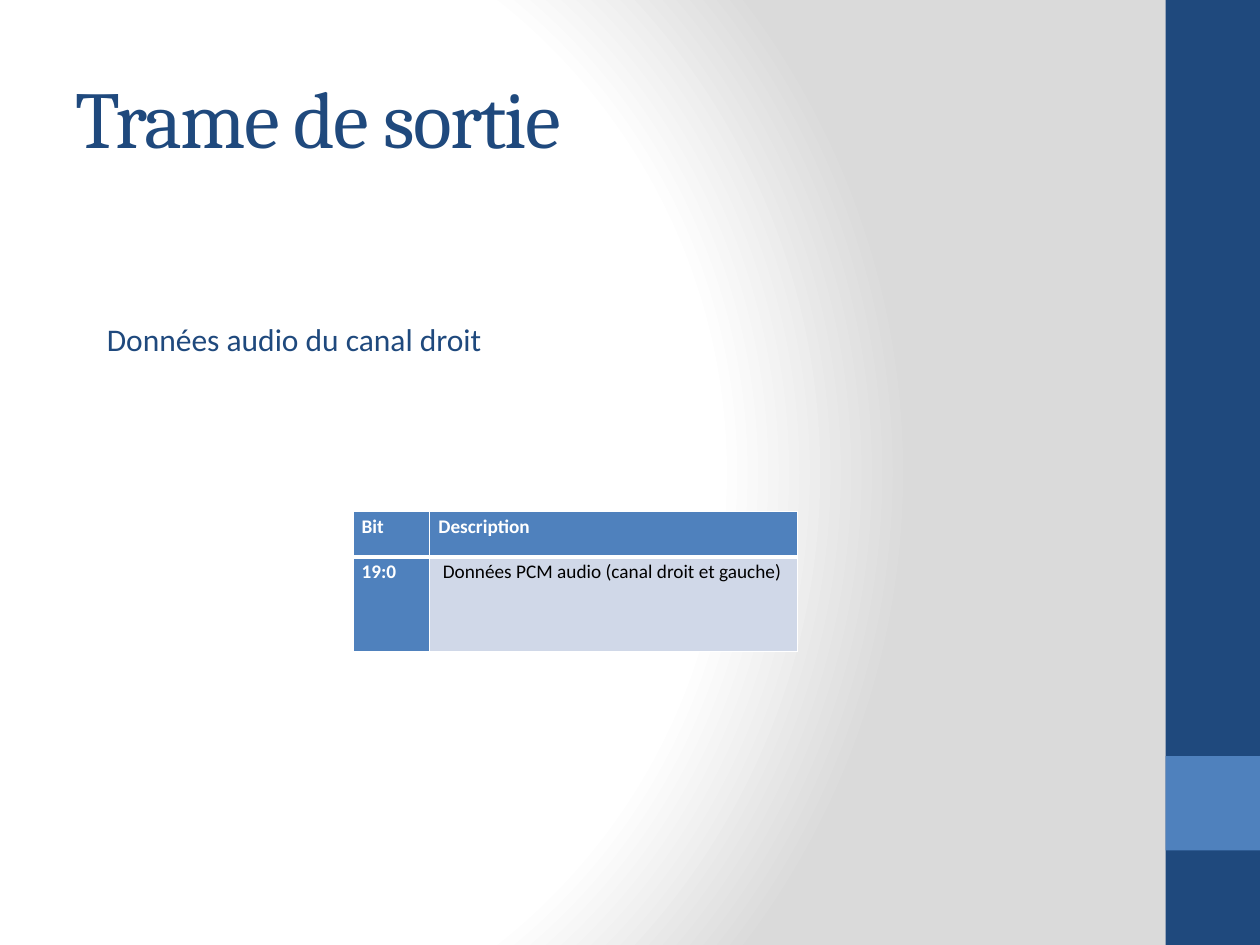
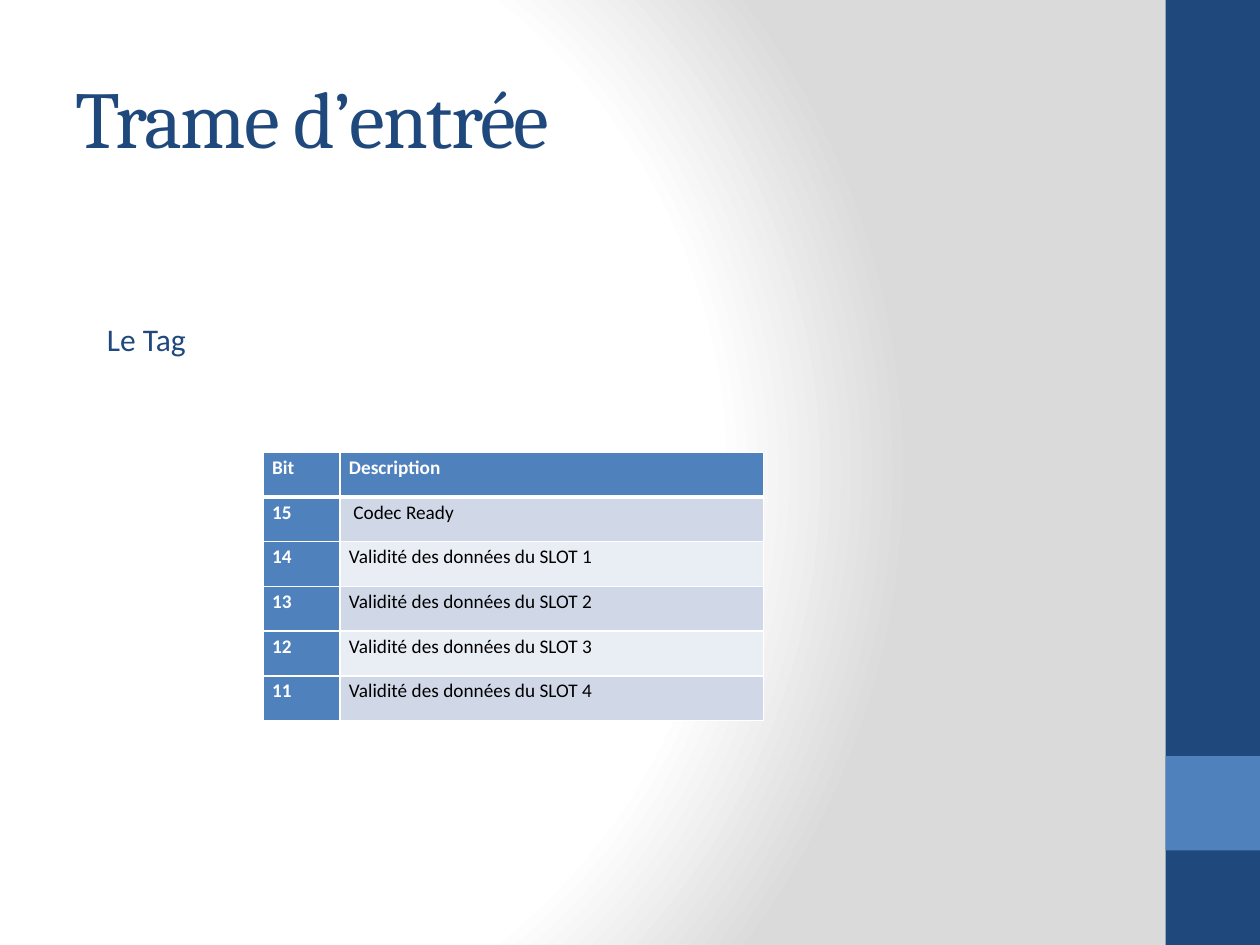
from lxml import etree
from pptx import Presentation
from pptx.dml.color import RGBColor
from pptx.enum import shapes, text
from pptx.oxml import parse_xml
from pptx.oxml.ns import nsdecls, qn
from pptx.util import Inches, Pt

COLORS = {
    "navy": "1F497D",
    "blue": "4F81BD",
    "row_dark": "D0D8E8",
    "row_light": "E9EDF4",
    "gray": "DADADA",
    "white": "FFFFFF",
    "black": "000000",
}
HEADING_FONT, BODY_FONT = "Cambria", "Calibri"
BLANK_LAYOUT = 6


def rgb(name):
    return RGBColor.from_string(COLORS[name])


def write(tf, content, font=BODY_FONT, size=18, color="navy", bold=False,
          line_spacing=None, tracking=None):
    """Fill a text frame with one run; tracking is in points."""
    p = tf.paragraphs[0]
    p.line_spacing = line_spacing
    r = p.add_run()
    r.text = content
    r.font.name = font
    r.font.size = Pt(size)
    r.font.bold = bold
    r.font.color.rgb = rgb(color)
    if tracking is not None:
        r.font._element.set("spc", str(int(tracking * 100)))


def set_background(master):
    """Give every slide a circular gradient centred left of the middle."""
    master.background.fill.gradient()
    old = master.element.find(".//" + qn("a:gradFill"))
    stops = "".join(
        f'<a:gs pos="{pos * 1000}"><a:srgbClr val="{COLORS[color]}"/></a:gs>'
        for pos, color in ((0, "white"), (75, "white"), (100, "gray")))
    old.getparent().replace(old, parse_xml(
        f'<a:gradFill rotWithShape="1" {nsdecls("a")}><a:gsLst>{stops}</a:gsLst>'
        '<a:path path="circle"><a:fillToRect l="20000" t="50000" r="100000" b="50000"/>'
        '</a:path></a:gradFill>'))


def add_band(s, top, height, color):
    sp = s.shapes.add_shape(shapes.MSO_SHAPE.RECTANGLE, Inches(9.25), Inches(top),
                            Inches(0.75), Inches(height))
    sp.shadow.inherit = False
    sp.fill.solid()
    sp.fill.fore_color.rgb = rgb(color)
    sp.line.fill.background()


def add_text(s, content, left, top, width, height,
             anchor=text.MSO_ANCHOR.TOP, **style):
    tf = s.shapes.add_textbox(Inches(left), Inches(top), Inches(width),
                              Inches(height)).text_frame
    tf.word_wrap = True
    tf.vertical_anchor = anchor
    write(tf, content, **style)


def set_borders(cell, bottom):
    """Draw white 1 pt edges, with a bottom edge of the given width."""
    tcPr = cell._tc.get_or_add_tcPr()
    for i, (side, width) in enumerate((("L", 1), ("R", 1), ("T", 1), ("B", bottom))):
        ln = etree.Element(qn("a:ln" + side), w=str(Pt(width)))
        fill = etree.SubElement(ln, qn("a:solidFill"))
        etree.SubElement(fill, qn("a:srgbClr"), val=COLORS["white"])
        tcPr.insert(i, ln)


def add_bit_table(s, left, top, col_widths, row_heights, bits):
    """Add a table of bits and their descriptions under a header row."""
    rows = [("Bit", "Description"), *bits]
    table = s.shapes.add_table(len(rows), 2, Inches(left), Inches(top),
                               Inches(sum(col_widths)), Inches(sum(row_heights))).table
    for col, width in zip(table.columns, col_widths):
        col.width = Inches(width)
    for i, (row, height, values) in enumerate(zip(table.rows, row_heights, rows)):
        row.height = Inches(height)
        for j, (cell, value) in enumerate(zip(row.cells, values)):
            heading = i == 0 or j == 0
            band = "row_dark" if i % 2 else "row_light"
            cell.fill.solid()
            cell.fill.fore_color.rgb = rgb("blue" if heading else band)
            cell.margin_left = cell.margin_right = Inches(0.07)
            cell.margin_top = cell.margin_bottom = 0
            set_borders(cell, bottom=1 if i else 3)
            write(cell.text_frame, value, size=11, bold=heading,
                  color="white" if heading else "black", line_spacing=1.15)


def add_frame_slide(prs, title, subtitle, subtitle_width):
    """Add a slide with the side bands, a title and a subtitle."""
    s = prs.slides.add_slide(prs.slide_layouts[BLANK_LAYOUT])
    add_band(s, 0, 7.5, "navy")
    add_band(s, 6, 0.75, "blue")
    add_text(s, title, 0.5, 0.3, 8.33, 1.25, anchor=text.MSO_ANCHOR.MIDDLE,
             font=HEADING_FONT, size=46, tracking=-1)
    add_text(s, subtitle, 0.75, 2.49, subtitle_width, 0.4)
    return s


def main():
    prs = Presentation()
    prs.slide_width, prs.slide_height = Inches(10), Inches(7.5)
    set_background(prs.slide_master)

    s = add_frame_slide(prs, "Trame de sortie", "Données audio du canal droit", 3.25)
    add_bit_table(s, 2.8, 4.06, (0.61, 2.92), (0.36, 0.75),
                  [("19:0", " Données PCM audio (canal droit et gauche)")])

    s = add_frame_slide(prs, "Trame d’entrée", "Le Tag", 0.95)
    slots = [(str(15 - n), f"Validité des données du SLOT {n}") for n in range(1, 5)]
    add_bit_table(s, 2.09, 3.59, (0.61, 3.36), [2.13 / 6] * 6,
                  [("15", " Codec Ready"), *slots])

    prs.save("out.pptx")


if __name__ == "__main__":
    main()
